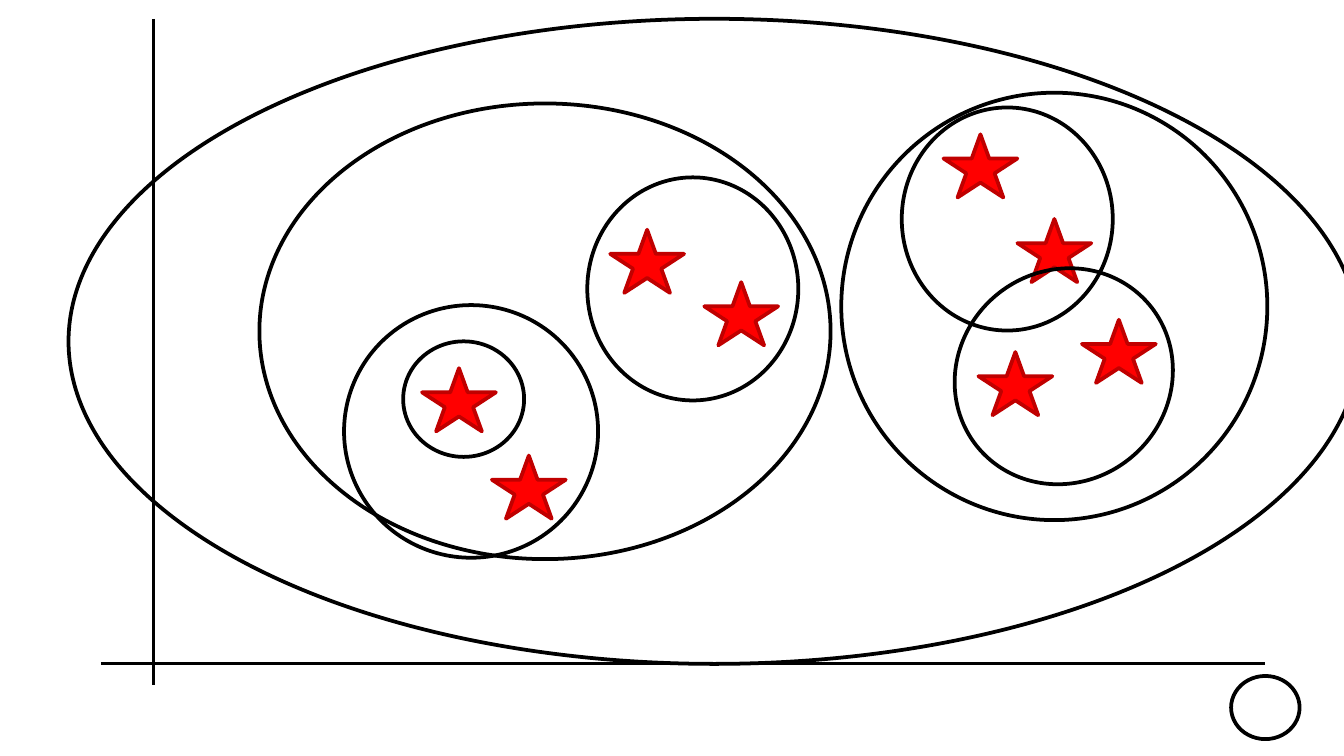
from lxml import etree
from pptx import Presentation
from pptx.dml.color import RGBColor
from pptx.enum.shapes import MSO_CONNECTOR, MSO_SHAPE
from pptx.oxml.ns import qn
from pptx.util import Inches, Pt

STAR = MSO_SHAPE.STAR_5_POINT
ELLIPSE = MSO_SHAPE.OVAL
STRAIGHT = MSO_CONNECTOR.STRAIGHT

RED = RGBColor(0xFF, 0x00, 0x00)
DARK_RED = RGBColor(0xC0, 0x00, 0x00)
BLACK = RGBColor(0x00, 0x00, 0x00)

STAR_WIDTH, STAR_HEIGHT = 0.55, 0.47


def add_outlined_shape(kind, left, top, width, height, line_color):
    shape = slide.shapes.add_shape(
        kind, Inches(left), Inches(top), Inches(width), Inches(height))
    shape.shadow.inherit = False
    shape.line.color.rgb = line_color
    shape.line.width = Pt(2)
    return shape


deck = Presentation()
deck.slide_width = Inches(10)
deck.slide_height = Inches(10 * 9 / 16)
slide = deck.slides.add_slide(deck.slide_layouts[6])

# Data points
star_positions = [
    (3.14, 2.74), (3.66, 3.39), (5.24, 2.1), (4.54, 1.71),
    (7.57, 1.63), (7.02, 1), (8.05, 2.38), (7.28, 2.62),
]
for left, top in star_positions:
    star = add_outlined_shape(STAR, left, top, STAR_WIDTH, STAR_HEIGHT, DARK_RED)
    star.fill.solid()
    star.fill.fore_color.rgb = RED

# Axes: start x, start y, end x, end y
axes = [(1.14, 0.14, 1.14, 5.1), (0.75, 4.94, 9.41, 4.94)]
for ends in axes:
    axis = slide.shapes.add_connector(STRAIGHT, *[Inches(value) for value in ends])
    axis.line.color.rgb = BLACK
    axis.line.width = Pt(1.5)
    etree.SubElement(axis._element.spPr, qn("a:effectLst"))

# Nested clusters: left, top, width, height, rotation
clusters = [
    (9.16, 5.03, 0.51, 0.47, 0),
    (0.51, 0.14, 9.61, 4.8, 0),
    (6.26, 0.69, 3.17, 3.18, 0),
    (1.93, 0.77, 4.25, 3.39, 0),
    (2.56, 2.27, 1.89, 1.88, 0),
    (4.37, 1.32, 1.57, 1.66, 0),
    (6.71, 0.8, 1.57, 1.66, 0),
    (7.13, 1.97, 1.57, 1.66, 50.2),
    (3, 2.54, 0.9, 0.86, 0),
]
for left, top, width, height, rotation in clusters:
    cluster = add_outlined_shape(ELLIPSE, left, top, width, height, BLACK)
    cluster.fill.background()
    cluster.rotation = rotation

deck.save("out.pptx")
